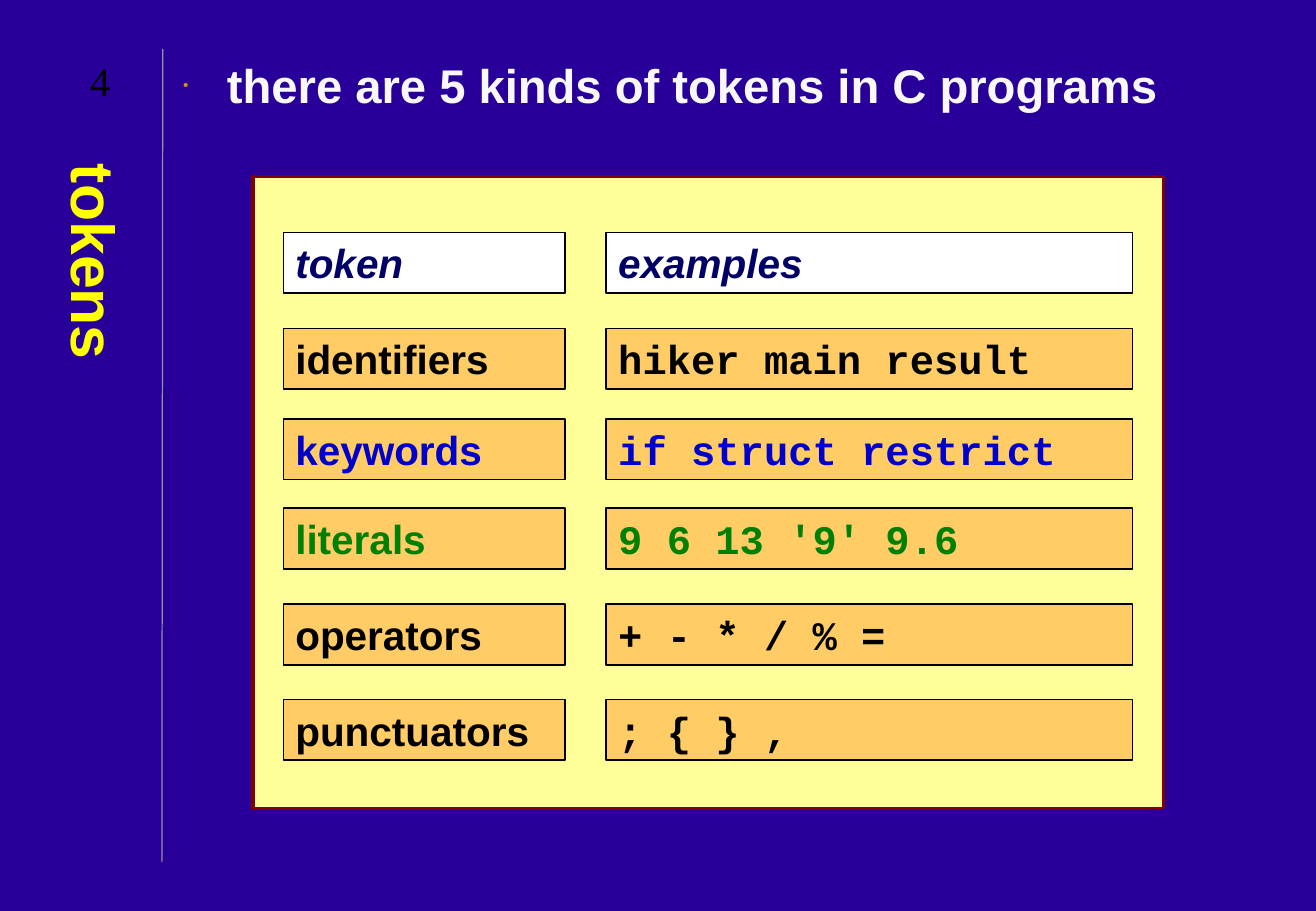
from lxml.etree import SubElement
from pptx import Presentation
from pptx.dml.color import RGBColor
from pptx.enum.shapes import MSO_CONNECTOR, MSO_SHAPE
from pptx.enum.text import MSO_ANCHOR, MSO_AUTO_SIZE, PP_ALIGN
from pptx.oxml.ns import qn
from pptx.util import Pt

NAVY = RGBColor(0x28, 0x00, 0x99)
GREY = RGBColor(0x96, 0x96, 0x96)
YELLOW = RGBColor(0xFF, 0xFF, 0x00)
OFF_WHITE = RGBColor(0xF8, 0xF8, 0xF8)
GOLD = RGBColor(0xCC, 0x99, 0x00)
CREAM = RGBColor(0xFF, 0xFF, 0x99)
MAROON = RGBColor(0x80, 0x00, 0x00)
WHITE = RGBColor(0xFF, 0xFF, 0xFF)
ORANGE = RGBColor(0xFF, 0xCC, 0x66)
BLACK = RGBColor(0x00, 0x00, 0x00)
DARK_BLUE = RGBColor(0x00, 0x00, 0x66)
BLUE = RGBColor(0x00, 0x00, 0xCC)
GREEN = RGBColor(0x00, 0x80, 0x00)

TOKEN_ROWS = [
    (33, "token", "examples", DARK_BLUE),
    (90, "identifiers", "hiker main result", BLACK),
    (143.5, "keywords", "if struct restrict", BLUE),
    (196.5, "literals", "9 6 13 '9' 9.6", GREEN),
    (253.5, "operators", "+ - * / % =", BLACK),
    (310, "punctuators", "; { } ,", BLACK),
]


def write_text(shape, text, size, color, name="Arial", bold=True, italic=False,
               align=PP_ALIGN.LEFT, anchor=MSO_ANCHOR.TOP, margins=(7.2, 3.6)):
    """Put one formatted paragraph into a shape."""
    frame = shape.text_frame
    frame.word_wrap = True
    frame.auto_size = MSO_AUTO_SIZE.NONE
    frame.vertical_anchor = anchor
    frame.margin_left = frame.margin_right = Pt(margins[0])
    frame.margin_top = frame.margin_bottom = Pt(margins[1])
    paragraph = frame.paragraphs[0]
    paragraph.text = text
    paragraph.alignment = align
    font = paragraph.font
    font.name, font.size, font.bold, font.italic = name, Pt(size), bold, italic
    font.color.rgb = color


def add_box(slide, left, top, width, height, fill, line, line_width):
    """Add a filled rectangle with an outline."""
    box = slide.shapes.add_shape(
        MSO_SHAPE.RECTANGLE, Pt(left), Pt(top), Pt(width), Pt(height))
    box.shadow.inherit = False
    box.fill.solid()
    box.fill.fore_color.rgb = fill
    box.line.color.rgb = line
    box.line.width = Pt(line_width)
    return box


def add_divider(slide, left, top, height):
    """Draw the thin line beside the title."""
    divider = slide.shapes.add_connector(
        MSO_CONNECTOR.STRAIGHT, Pt(left), Pt(top + height), Pt(left + 0.5), Pt(top))
    divider.line.color.rgb = GREY
    divider.line.width = Pt(0.75)
    SubElement(divider._element.spPr, qn("a:effectLst"))


def set_title(slide, left, top, width, height):
    """Turn the title placeholder into a vertical heading."""
    title = slide.shapes.title
    title.left, title.top, title.width, title.height = map(Pt, (left, top, width, height))
    write_text(title, "tokens", 36, YELLOW, anchor=MSO_ANCHOR.MIDDLE, margins=(3.6, 7.2))
    title.text_frame._txBody.bodyPr.set("vert", "eaVert")


def add_statement(slide, left, top, width, height):
    """Add the bulleted statement at the top."""
    statement = slide.shapes.add_textbox(Pt(left), Pt(top), Pt(width), Pt(height))
    properties = statement.text_frame.paragraphs[0]._p.get_or_add_pPr()
    properties.set("marL", str(Pt(26)))
    properties.set("indent", str(Pt(-26)))
    bullet_color = SubElement(properties, qn("a:buClr"))
    SubElement(bullet_color, qn("a:srgbClr"), val=str(GOLD))
    SubElement(properties, qn("a:buSzPct"), val="32000")
    SubElement(properties, qn("a:buFont"), typeface="Arial")
    SubElement(properties, qn("a:buChar"), char="•")
    write_text(statement, "there are 5 kinds of tokens in C programs", 28, OFF_WHITE)


def add_token_panel(slide, left, top, width, height):
    """Add the framed panel with its rows of tokens and examples."""
    add_box(slide, left, top, width, height, CREAM, MAROON, 2)
    for index, (offset, token, examples, color) in enumerate(TOKEN_ROWS):
        heading = index == 0
        cells = [(18, 167, token, "Arial"),
                 (209.5, 312, examples, "Arial" if heading else "Courier New")]
        for indent, cell_width, text, name in cells:
            cell = add_box(slide, left + indent, top + offset, cell_width, 36,
                           WHITE if heading else ORANGE, BLACK, 1)
            write_text(cell, text, 24, color, name, italic=heading)


def add_page_number(slide, left, top, width, height):
    """Add the page number above the title."""
    number = slide.shapes.add_textbox(Pt(left), Pt(top), Pt(width), Pt(height))
    write_text(number, "4", 24, BLACK, "Times New Roman", bold=False,
               align=PP_ALIGN.CENTER, anchor=MSO_ANCHOR.MIDDLE)


def build_slide(presentation):
    """Build the slide about kinds of tokens."""
    slide = presentation.slides.add_slide(presentation.slide_layouts[5])
    slide.background.fill.solid()
    slide.background.fill.fore_color.rgb = NAVY
    add_divider(slide, 96, 29, 482)
    set_title(slide, 24, 90, 66, 420)
    add_statement(slide, 101.5, 30, 642, 480)
    add_token_panel(slide, 150, 104.75, 540, 374.5)
    add_page_number(slide, 30, 29.5, 59, 36)


def main():
    """Create and save the presentation."""
    presentation = Presentation()
    presentation.slide_width = Pt(780.3)
    presentation.slide_height = Pt(540)
    build_slide(presentation)
    presentation.save("out.pptx")


if __name__ == "__main__":
    main()
